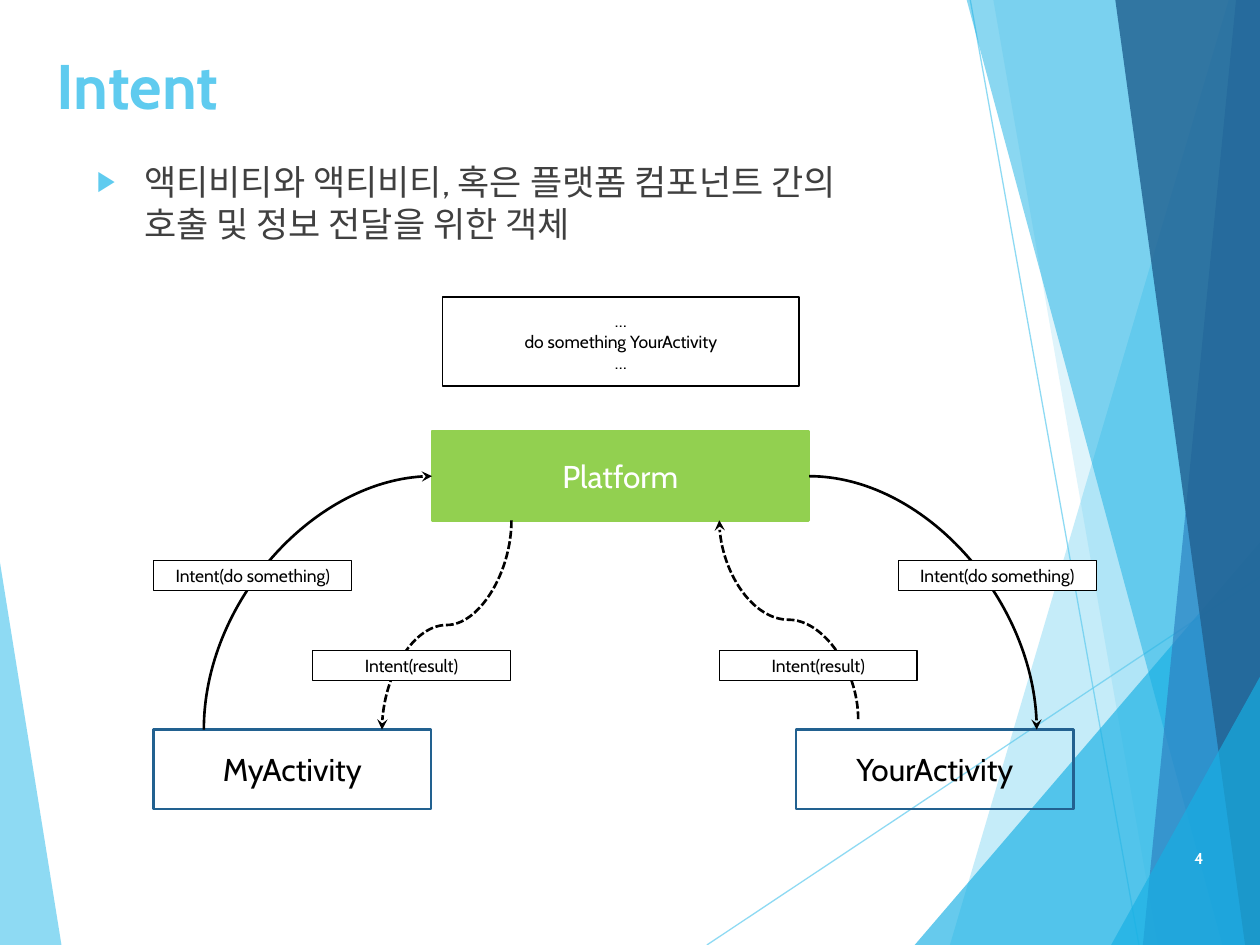
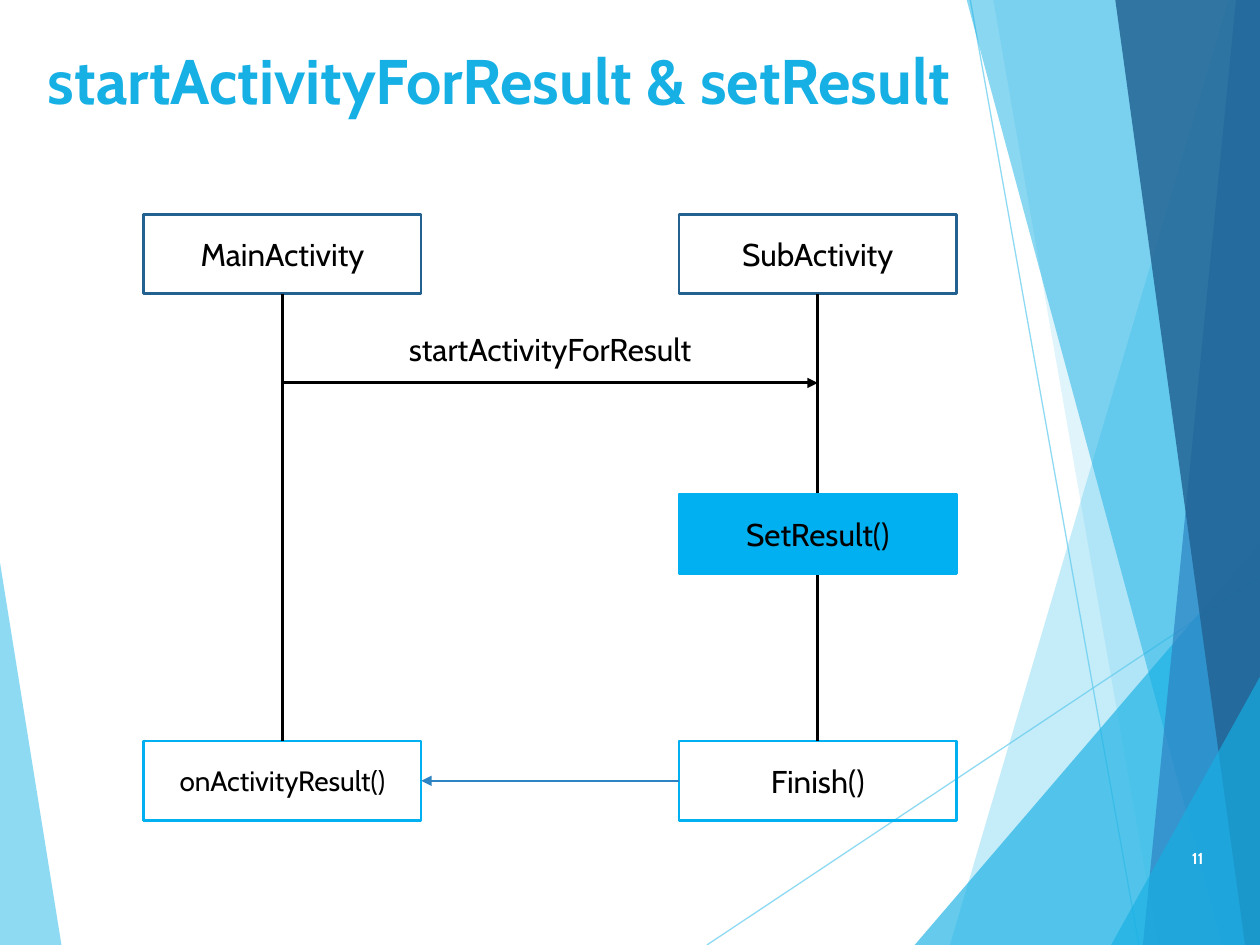
from copy import deepcopy

from lxml.etree import SubElement
from pptx import Presentation
from pptx.dml.color import RGBColor
from pptx.enum.dml import MSO_LINE
from pptx.enum.shapes import MSO_CONNECTOR as Link, MSO_SHAPE as Preset
from pptx.enum.text import MSO_ANCHOR as Anchor, MSO_AUTO_SIZE as AutoSize, PP_ALIGN as Align
from pptx.oxml.ns import qn
from pptx.util import Cm, Pt

FONT = "Cabin"
BLACK, WHITE, GREY = "000000", "FFFFFF", "404040"
SKY, CYAN, BLUE, NAVY = "5FCBEF", "17B0E4", "2E83C3", "226292"
EDGE, BRIGHT, GREEN = "226190", "00B0F0", "92D050"

WIDTH, HEIGHT, RIGHT_EDGE = 25.4, 19.05, 25.43
BOX_WIDTH, BOX_HEIGHT = 5.59, 1.6

# Right-hand bands: top x, top y, bottom x, colour, opacity in percent
BANDS = [
    (24.77, 0, 19.15, SKY, 36),
    (20.02, -0.03, 23.34, SKY, 20),
    (RIGHT_EDGE, 10.9, 18.44, CYAN, 66),
    (19.48, -0.03, 24.64, CYAN, 50),
    (24.92, -0.03, 23.04, BLUE, 70),
    (22.48, -0.03, 25.1, NAVY, 82),
    (RIGHT_EDGE, 13.59, 22.4, CYAN, 66),
]


def rgb(color):
    return RGBColor.from_string(color)


def set_opacity(shape, percent):
    for color in shape.element.spPr.iter(qn("a:srgbClr")):
        SubElement(color, qn("a:alpha"), val=str(percent * 1000))


def write(shape, text, size=18, color=BLACK, bold=False, align=Align.CENTER, anchor=Anchor.MIDDLE):
    """Fill a shape with text; a newline starts a paragraph, \\v breaks a line."""
    frame = shape.text_frame
    frame.word_wrap = True
    frame.auto_size = AutoSize.NONE
    frame.vertical_anchor = anchor
    frame.text = text
    for paragraph in frame.paragraphs:
        paragraph.alignment = align
        for run in paragraph.runs:
            font = run.font
            font.name, font.size, font.bold = FONT, Pt(size), bold
            font.color.rgb = rgb(color)
    # Line breaks take the format of the run before them
    for line_break in shape.element.iter(qn("a:br")):
        line_break.append(deepcopy(line_break.getprevious().find(qn("a:rPr"))))


class Deck:
    def __init__(self):
        self.presentation = Presentation()
        self.presentation.slide_width = Cm(WIDTH)
        self.presentation.slide_height = Cm(HEIGHT)
        self.slide = None

    # Slide frame
    def new_slide(self, layout, title, number, left, top, color):
        first = self.slide is None
        self.slide = self.presentation.slides.add_slide(self.presentation.slide_layouts[layout])
        if first:
            self.backdrop()
        self.place(self.slide.shapes.title, left, top, 22.83, 1.83)
        write(self.slide.shapes.title, title, size=36, color=color, bold=True, align=Align.LEFT)
        self.label(number, 23.09, 16.79, 1.42, size=9, color=WHITE, bold=True, align=Align.RIGHT)

    def backdrop(self):
        """Build the facets as one group and move it to the slide master."""
        group = self.slide.shapes.add_group_shape()
        self.facet(group, [(-0.03, 11.15), (1.24, HEIGHT), (-0.03, HEIGHT)], SKY, 70)
        for begin, end in [((14.25, HEIGHT), (RIGHT_EDGE, 11.61)), ((19.56, 0), (22.96, HEIGHT))]:
            line = self.line(begin, end, color=SKY, weight=0.75, shapes=group.shapes)
            set_opacity(line, 70)
        for top_x, top_y, bottom_x, color, opacity in BANDS:
            corners = [(top_x, top_y), (bottom_x, HEIGHT), (RIGHT_EDGE, HEIGHT), (RIGHT_EDGE, top_y)]
            self.facet(group, corners, color, opacity)
        for number, properties in enumerate(group.element.iter(qn("p:cNvPr")), 100):
            properties.set("id", str(number))
        self.presentation.slide_master.shapes.element.insert(2, group.element)

    def facet(self, group, corners, color, opacity):
        points = [(Cm(x), Cm(y)) for x, y in corners]
        builder = group.shapes.build_freeform(*points[0])
        builder.add_line_segments(points[1:], close=True)
        shape = builder.convert_to_shape()
        shape.shadow.inherit = False
        shape.fill.solid()
        shape.fill.fore_color.rgb = rgb(color)
        shape.line.fill.background()
        set_opacity(shape, opacity)

    # Text
    def place(self, shape, left, top, width, height):
        shape.left, shape.top, shape.width, shape.height = map(Cm, (left, top, width, height))

    def label(self, text, left, top, width, **style):
        write(self.slide.shapes.add_textbox(Cm(left), Cm(top), Cm(width), Cm(1.02)), text, **style)

    def bullet(self, text):
        body = self.slide.placeholders[1]
        self.place(body, 1.7, 3.1, 18.42, 12.85)
        write(body, text, size=20, color=GREY, align=Align.LEFT, anchor=Anchor.TOP)
        body.text_frame.paragraphs[0].space_before = Pt(10)
        for properties in body.element.iter(qn("a:pPr")):
            properties.set("marL", str(Cm(0.95)))
            properties.set("indent", str(Cm(-0.95)))
            SubElement(SubElement(properties, qn("a:buClr")), qn("a:srgbClr"), val=SKY)
            SubElement(properties, qn("a:buSzPct"), val="80000")
            SubElement(properties, qn("a:buChar"), char="▶")

    # Boxes
    def box(self, text, left, top, width=BOX_WIDTH, height=BOX_HEIGHT,
            fill=None, edge=EDGE, weight=1.5, **style):
        shape = self.slide.shapes.add_shape(
            Preset.RECTANGLE, Cm(left), Cm(top), Cm(width), Cm(height))
        shape.shadow.inherit = False
        if fill:
            shape.fill.solid()
            shape.fill.fore_color.rgb = rgb(fill)
        else:
            shape.fill.background()
        shape.line.color.rgb = rgb(edge)
        shape.line.width = Pt(weight)
        write(shape, text, **style)
        return shape

    # Connectors
    def line(self, begin, end, color=BLACK, weight=1.75, head=None, dashed=False,
             kind=Link.STRAIGHT, shapes=None):
        shapes = shapes or self.slide.shapes
        connector = shapes.add_connector(kind, *map(Cm, (*begin, *end)))
        connector.line.color.rgb = rgb(color)
        connector.line.width = Pt(weight)
        if dashed:
            connector.line.dash_style = MSO_LINE.SQUARE_DOT
        properties = connector.element.spPr
        if head:
            SubElement(properties.find(qn("a:ln")), qn("a:tailEnd"), type=head)
        SubElement(properties, qn("a:effectLst"))
        return connector

    def join(self, first, first_side, second, second_side, **style):
        connector = self.line((0, 0), (1, 1), **style)
        connector.begin_connect(first, first_side)
        connector.end_connect(second, second_side)

    def curve(self, begin, end, preset, turn=0, flips=(), dashed=False):
        """A turn of 90 or 270 degrees swaps the sides of the box around its centre."""
        (x1, y1), (x2, y2) = begin, end
        width, height = abs(x2 - x1), abs(y2 - y1)
        if turn:
            width, height = height, width
        left, top = (x1 + x2 - width) / 2, (y1 + y2 - height) / 2
        connector = self.line((left, top), (left + width, top + height), weight=1.5,
                              head="stealth", dashed=dashed, kind=Link.CURVE)
        properties = connector.element.spPr
        properties.find(qn("a:prstGeom")).set("prst", preset)
        frame = properties.find(qn("a:xfrm"))
        frame.set("rot", str(turn * 60000))
        for flip in flips:
            frame.set(flip, "1")


def build_intent(deck):
    deck.new_slide(1, "Intent", "4", 0.89, 0.79, SKY)
    deck.bullet("액티비티와 액티비티, 혹은 플랫폼 컴포넌트 간의\v호출 및 정보 전달을 위한 객체")

    # Platform and the two activities
    deck.box("…\ndo something YourActivity\n…", 8.92, 5.99, 7.19, 1.8,
             edge=BLACK, weight=1, size=10)
    deck.box("Platform", 8.71, 8.69, 7.59, 1.8, fill=GREEN, edge=GREEN, color=WHITE)
    deck.box("MyActivity", 3.1, 14.71)
    deck.box("YourActivity", 16.05, 14.71)

    # Requests (solid) and results (dashed)
    deck.curve((4.11, 14.71), (8.71, 9.6), "curvedConnector2", 90, ("flipH", "flipV"))
    deck.curve((16.31, 9.6), (20.9, 14.71), "curvedConnector2")
    deck.curve((10.31, 10.49), (7.7, 14.71), "curvedConnector3", 90, dashed=True)
    deck.curve((17.3, 14.5), (14.5, 10.49), "curvedConnector3", 270, ("flipV",), dashed=True)
    for text, top, lefts in [("Intent(do something)", 11.3, (3.1, 18.11)),
                             ("Intent(result)", 13.11, (6.3, 14.5))]:
        for left in lefts:
            deck.box(text, left, top, 3.99, 0.61, fill=WHITE, edge=BLACK, weight=0.75, size=10)


def build_result_sequence(deck):
    deck.new_slide(5, "startActivityForResult & setResult", "11", 0.71, 0.69, CYAN)
    main_left, sub_left, start_top, end_top = 2.9, 13.69, 4.32, 14.94
    main_axis, sub_axis = main_left + BOX_WIDTH / 2, sub_left + BOX_WIDTH / 2

    # Ends of both lifelines
    main = deck.box("MainActivity", main_left, start_top)
    sub = deck.box("SubActivity", sub_left, start_top)
    on_result = deck.box("onActivityResult()", main_left, end_top, edge=BRIGHT, size=16)
    finish = deck.box("Finish()", sub_left, end_top, edge=BRIGHT)

    # Lifelines and messages
    deck.join(main, 2, on_result, 0)
    deck.join(sub, 2, finish, 0)
    deck.line((main_axis, 7.72), (sub_axis, 7.72), head="triangle")
    deck.label("startActivityForResult", main_axis, 6.53, sub_axis - main_axis)
    deck.join(finish, 1, on_result, 3, color=BLUE, weight=1.25, head="triangle")
    deck.box("SetResult()", sub_left, 9.96, fill=BRIGHT, edge=BRIGHT)


def main():
    deck = Deck()
    build_intent(deck)
    build_result_sequence(deck)
    deck.presentation.save("out.pptx")


if __name__ == "__main__":
    main()
